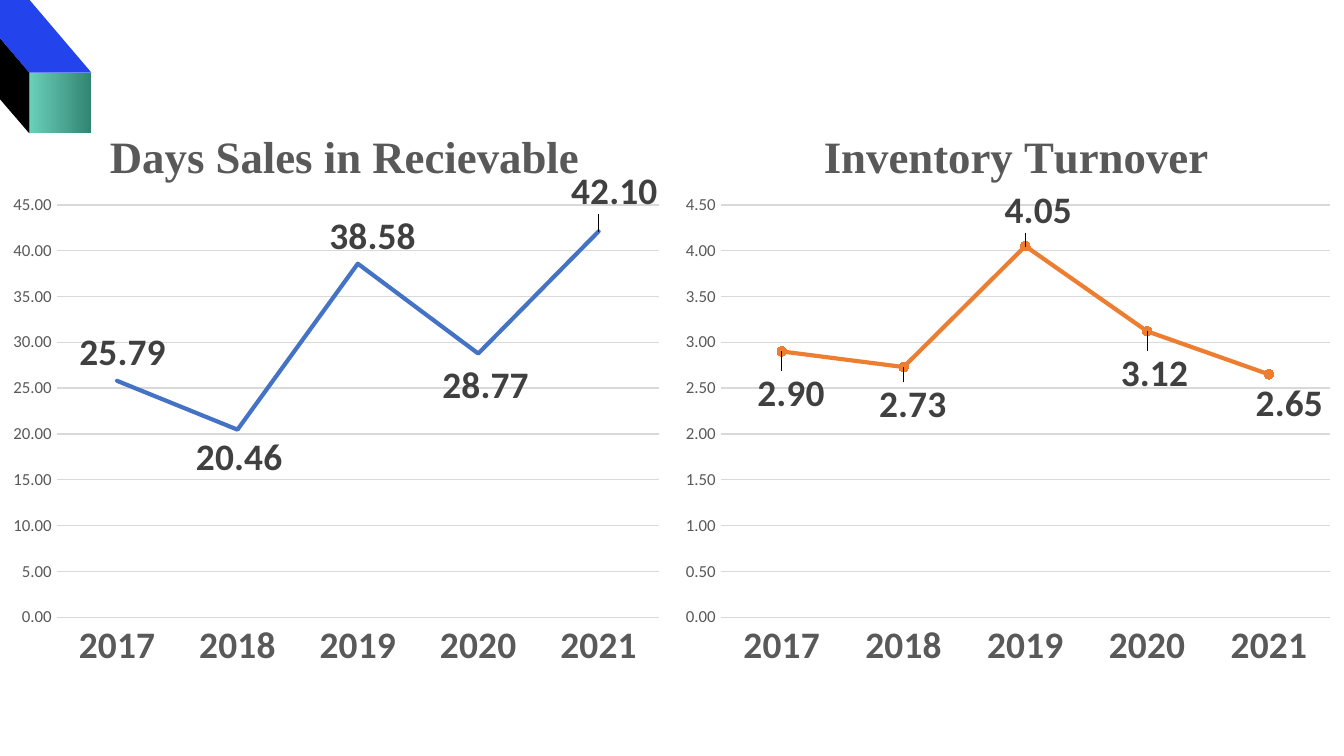
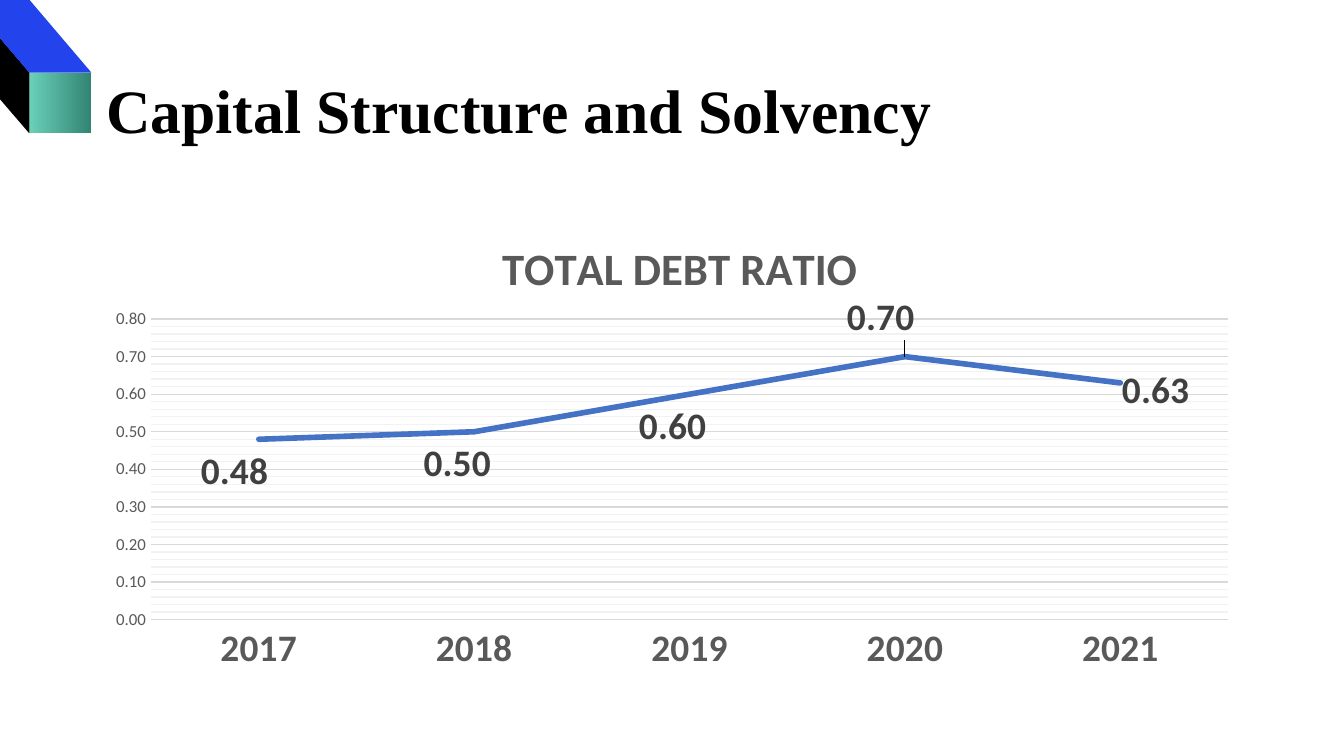
from dataclasses import dataclass

from lxml.etree import SubElement
from pptx import Presentation
from pptx.chart.data import CategoryChartData
from pptx.dml.color import RGBColor
from pptx.enum.chart import XL_CHART_TYPE, XL_LABEL_POSITION, XL_MARKER_STYLE, XL_TICK_MARK
from pptx.enum.text import MSO_ANCHOR, MSO_AUTO_SIZE, PP_ALIGN
from pptx.oxml import parse_xml
from pptx.oxml.ns import nsdecls, qn
from pptx.util import Pt


@dataclass(frozen=True)
class Theme:
    black: str = "000000"
    cobalt: str = "2344EC"
    mint: str = "69D0B9"
    pine: str = "328472"
    blue: str = "4472C4"
    orange: str = "ED7D31"
    axis_text: str = "595959"
    label_text: str = "404040"
    grid: str = "D9D9D9"
    minor_grid: str = "F2F2F2"
    serif: str = "Times New Roman"
    sans: str = "Calibri"
    heading: float = 33
    chart_title: float = 24
    label: float = 20
    chart_base: float = 10
    scale: float = 9
    decimals: str = "0.00"


YEARS = ["2017", "2018", "2019", "2020", "2021"]


@dataclass
class Trend:
    title: str
    values: list
    label_offsets: list
    top: float
    step: float
    frame: tuple
    plot: tuple
    title_at: tuple
    title_font: str
    color: str
    weight: float = 2.25
    markers: bool = False
    minor_step: float = 0


def style_font(font, size, color, bold=False, name=Theme.sans):
    font.name = name
    font.size = Pt(size)
    font.bold = bold
    font.color.rgb = RGBColor.from_string(color)


def style_line(line, color, width=0.75):
    line.color.rgb = RGBColor.from_string(color)
    line.width = Pt(width)


def add_minor_gridlines(axis, color, width=0.75):
    axis.has_minor_gridlines = True
    axis._element.find(qn("c:minorGridlines")).append(parse_xml(
        f'<c:spPr {nsdecls("c", "a")}><a:ln w="{Pt(width)}"><a:solidFill>'
        f'<a:srgbClr val="{color}"/></a:solidFill></a:ln></c:spPr>'))


def set_layout(parent, index, frame, fields):
    old = parent.find(qn("c:layout"))
    if old is not None:
        parent.remove(old)
    layout = parse_xml(f"<c:layout {nsdecls('c')}><c:manualLayout/></c:layout>")
    for tag, value in fields.items():
        if tag in ("x", "w"):
            value = round(value / frame[2], 4)
        elif tag in ("y", "h"):
            value = round(value / frame[3], 4)
        SubElement(layout[0], qn(f"c:{tag}")).set("val", str(value))
    parent.insert(index, layout)


class Deck:
    def __init__(self, theme):
        self.theme = theme
        self.prs = Presentation()
        self.prs.slide_width, self.prs.slide_height = Pt(720), Pt(405)
        self.slide = None

    def new_slide(self, layout):
        self.slide = self.prs.slides.add_slide(self.prs.slide_layouts[layout])
        self.corner_block()

    def face(self, *corners):
        points = [(Pt(x), Pt(y)) for x, y in corners]
        builder = self.slide.shapes.build_freeform(*points[0])
        builder.add_line_segments(points[1:], close=True)
        outline = builder.convert_to_shape()
        outline.shadow.inherit = False
        outline.line.fill.background()
        return outline.fill

    def corner_block(self):
        theme = self.theme
        left, inner, right = -18, 15.75, 49
        top, middle, bottom = -0.75, 38.9, 71.5
        front = self.face((right, middle), (right, bottom), (inner, bottom), (inner, middle))
        front.gradient()
        front.gradient_angle = 0
        for stop, color in zip(front.gradient_stops, (theme.mint, theme.pine)):
            stop.color.rgb = RGBColor.from_string(color)
        side = self.face((left, top), (inner, middle), (inner, bottom), (left, 32.2))
        lid = self.face((15.25, top), (right, middle), (inner, middle), (left, top))
        for fill, color in ((side, theme.black), (lid, theme.cobalt)):
            fill.solid()
            fill.fore_color.rgb = RGBColor.from_string(color)

    def heading(self, text, left, top, width, height):
        title = self.slide.shapes.title
        title.left, title.top, title.width, title.height = map(Pt, (left, top, width, height))
        frame = title.text_frame
        frame.text = text
        frame.word_wrap = True
        frame.auto_size = MSO_AUTO_SIZE.NONE
        frame.vertical_anchor = MSO_ANCHOR.MIDDLE
        paragraph = frame.paragraphs[0]
        paragraph.alignment = PP_ALIGN.LEFT
        paragraph.line_spacing = 0.9
        style_font(paragraph.font, self.theme.heading, self.theme.black, True, self.theme.serif)

    def line_chart(self, trend):
        theme = self.theme
        data = CategoryChartData(number_format=theme.decimals)
        data.categories = YEARS
        data.add_series("Series 1", trend.values)
        kind = XL_CHART_TYPE.LINE_MARKERS if trend.markers else XL_CHART_TYPE.LINE
        chart = self.slide.shapes.add_chart(kind, *map(Pt, trend.frame), data).chart
        style_font(chart.font, theme.chart_base, theme.black)
        chart.has_legend = False
        chart.plots[0].vary_by_categories = False
        self.chart_title(chart, trend)
        self.axes(chart, trend)
        x, y, width, height = trend.plot
        set_layout(chart._chartSpace.chart.plotArea, 0, trend.frame, {
            "layoutTarget": "inner", "xMode": "edge", "yMode": "edge",
            "x": x, "y": y, "w": width, "h": height})
        self.series(chart.plots[0].series[0], trend)

    def chart_title(self, chart, trend):
        chart.has_title = True
        frame = chart.chart_title.text_frame
        frame.text = trend.title
        style_font(frame.paragraphs[0].font, self.theme.chart_title,
                   self.theme.axis_text, True, trend.title_font)
        x, y = trend.title_at
        set_layout(chart.chart_title._element, 1, trend.frame,
                   {"xMode": "edge", "yMode": "edge", "x": x, "y": y})

    def axes(self, chart, trend):
        theme = self.theme
        years, scale = chart.category_axis, chart.value_axis
        for axis in (years, scale):
            axis.major_tick_mark = axis.minor_tick_mark = XL_TICK_MARK.NONE
        style_font(years.tick_labels.font, theme.label, theme.axis_text, True)
        style_line(years.format.line, theme.grid)
        style_font(scale.tick_labels.font, theme.scale, theme.axis_text)
        scale.tick_labels.number_format = theme.decimals
        scale.tick_labels.number_format_is_linked = False
        scale.format.line.fill.background()
        scale.minimum_scale, scale.maximum_scale = 0, trend.top
        scale.major_unit = trend.step
        style_line(scale.major_gridlines.format.line, theme.grid)
        if trend.minor_step:
            scale.minor_unit = trend.minor_step
            add_minor_gridlines(scale, theme.minor_grid)

    def series(self, series, trend):
        theme = self.theme
        series.smooth = False
        style_line(series.format.line, trend.color, trend.weight)
        series.format.line._get_or_add_ln().set("cap", "rnd")
        if trend.markers:
            series.marker.style = XL_MARKER_STYLE.CIRCLE
            series.marker.size = 5
            series.marker.format.fill.solid()
            series.marker.format.fill.fore_color.rgb = RGBColor.from_string(trend.color)
            style_line(series.marker.format.line, trend.color)
        labels = series.data_labels
        labels.show_value = True
        labels.number_format = theme.decimals
        labels.number_format_is_linked = False
        labels.position = XL_LABEL_POSITION.CENTER
        style_font(labels.font, theme.label, theme.label_text, True)
        for index in range(len(trend.values)):
            label = series.points[index].data_label
            label.position = XL_LABEL_POSITION.CENTER
            style_font(label.font, theme.label, theme.label_text, True)
        for element, (x, y) in zip(labels._element.findall(qn("c:dLbl")), trend.label_offsets):
            set_layout(element, 1, trend.frame, {"x": x, "y": y})


def main():
    theme = Theme()
    deck = Deck(theme)
    top, half, height = 46, 360, 318.25

    deck.new_slide(6)
    deck.line_chart(Trend(
        "Days Sales in Recievable", [25.79, 20.46, 38.58, 28.77, 42.1],
        [(3, -15.5), (1, 15), (8, -14.5), (4, 17), (8.5, -21.5)],
        top=45, step=5, frame=(0, top, half, height), plot=(30.5, 63.75, 322.5, 221),
        title_at=(54.5, 18), title_font=theme.serif, color=theme.blue))
    deck.line_chart(Trend(
        "Inventory Turnover", [2.9, 2.73, 4.05, 3.12, 2.65],
        [(5, 22.5), (5, 20), (7, -19), (4, 22.5), (11, 15.5)],
        top=4.5, step=0.5, frame=(half, top, half, height), plot=(26.25, 63.75, 326.25, 221),
        title_at=(77, 18), title_font=theme.serif, color=theme.orange, markers=True))

    deck.new_slide(5)
    left, width = 49.7, 620.6
    deck.heading("Capital Structure and Solvency", left, 21.6, width, 78.5)
    deck.line_chart(Trend(
        "TOTAL DEBT RATIO", [0.48, 0.5, 0.6, 0.7, 0.63],
        [(-13, 17), (-9, 17), (-9, 17), (-13, -21), (19, 4)],
        top=0.8, step=0.1, frame=(left, 108, width, 257), plot=(31.25, 63, 577, 161),
        title_at=(215, 15.5), title_font=theme.sans, color=theme.blue,
        weight=3, minor_step=0.02))

    deck.prs.save("out.pptx")


if __name__ == "__main__":
    main()
